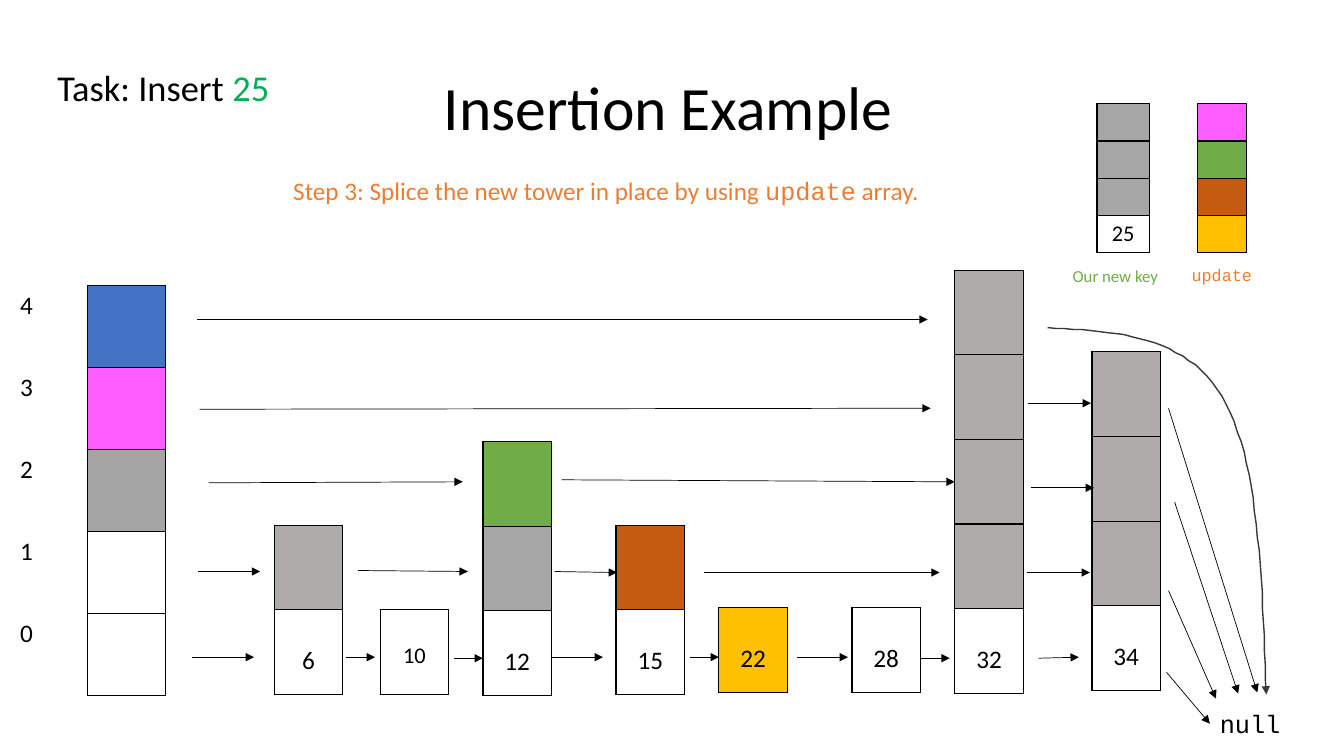
"""Build a slide that shows a key being spliced into a skip list."""
import pptx
import pptx.dml.color
import pptx.enum.shapes
import pptx.enum.text
import pptx.oxml
import pptx.oxml.ns
import pptx.util

RGB = pptx.dml.color.RGBColor
BLACK = RGB(0, 0, 0)
DARK = RGB(0x3B, 0x38, 0x38)
BLUE = RGB(0x44, 0x72, 0xC4)
PINK = RGB(0xFD, 0x5C, 0xFF)
GREEN = RGB(0x70, 0xAD, 0x47)
LEAF = RGB(0x00, 0xB0, 0x50)
RUST = RGB(0xC5, 0x5A, 0x11)
GOLD = RGB(0xFF, 0xC0, 0x00)
ORANGE = RGB(0xED, 0x7D, 0x31)
GRAY = RGB(0xA5, 0xA5, 0xA5)
STEEL = RGB(0xA6, 0xA6, 0xA6)
STONE = RGB(0xAF, 0xAB, 0xAB)

SCALE = 9144
SANS, MONO = "Calibri", "Courier New"
PLAIN = "{2D5ABB26-0587-4C30-8999-92F81FD0307C}"
NS = pptx.oxml.ns.nsdecls("a")
ALIGN = pptx.enum.text.PP_ALIGN
ANCHOR = pptx.enum.text.MSO_ANCHOR


def px(*sizes):
    """Turn px lengths into EMU."""
    return [pptx.util.Emu(size * SCALE) for size in sizes]


def write(para, text, size, color=BLACK, font=SANS):
    """Add one formatted run."""
    run = para.add_run()
    run.text = text
    run.font.size = pptx.util.Pt(size)
    run.font.name = font
    run.font.color.rgb = color


def label(slide, box, *runs):
    """Add a text box with one paragraph of runs."""
    frame = slide.shapes.add_textbox(*px(*box)).text_frame
    frame.word_wrap = True
    for run in runs:
        write(frame.paragraphs[0], *run)


def style(line, color, width):
    """Give a line its colour, width and arrowhead."""
    line.color.rgb = color
    line.width = pptx.util.Pt(width)
    line._get_or_add_ln().append(
        pptx.oxml.parse_xml(f'<a:tailEnd {NS} type="triangle"/>'))


def arrow(slide, box, ends, width=0.5):
    """Draw an arrow between two points of a box."""
    x, y = box[:2]
    x1, y1, x2, y2 = ends
    kind = pptx.enum.shapes.MSO_CONNECTOR.STRAIGHT
    link = slide.shapes.add_connector(
        kind, *px(x + x1, y + y1, x + x2, y + y2))
    style(link.line, BLACK, width)
    link._element.spPr.append(pptx.oxml.parse_xml(f"<a:effectLst {NS}/>"))


def frame(cell):
    """Put a thin black border around a cell."""
    for side in ("lnL", "lnR", "lnT", "lnB"):
        cell._tc.get_or_add_tcPr().append(pptx.oxml.parse_xml(
            f'<a:{side} {NS} w="12700"><a:solidFill>'
            f'<a:srgbClr val="{BLACK}"/></a:solidFill></a:{side}>'))


def paint(cell, color):
    """Fill a cell, or leave it clear."""
    if color is None:
        cell.fill.background()
    else:
        cell.fill.solid()
        cell.fill.fore_color.rgb = color


def grid(slide, box, fills, cols=1):
    """Add a table whose last column holds the framed, filled cells."""
    table = slide.shapes.add_table(len(fills), cols, *px(*box)).table
    table._tbl.tblPr.find(pptx.oxml.ns.qn("a:tableStyleId")).text = PLAIN
    table.first_row = table.horz_banding = False
    for row, fill in enumerate(fills):
        for col in range(cols):
            cell = table.cell(row, col)
            cell.margin_top = cell.margin_bottom = px(0)[0]
            if col == cols - 1:
                frame(cell)
                paint(cell, fill)
            else:
                paint(cell, None)
    return table


def number(table, text, size, drop=0, anchor=ANCHOR.MIDDLE):
    """Write a key in the lowest cell of a tower."""
    cell = table.cell(len(table.rows) - 1, 0)
    cell.vertical_anchor = anchor
    cell.margin_bottom = px(drop)[0]
    para = cell.text_frame.paragraphs[0]
    para.alignment = ALIGN.CENTER
    write(para, text, size)


def heading(slide, box):
    """Place the title, the task and the step."""
    x, y, w, h = box
    title = slide.shapes.title
    title.left, title.top, title.width, title.height = px(x + 41, y, w - 41, h)
    title.text_frame.vertical_anchor = ANCHOR.MIDDLE
    para = title.text_frame.paragraphs[0]
    para.alignment = ALIGN.CENTER
    para.line_spacing = 0.9
    write(para, "Insertion Example", 44)
    label(slide, (x, y + 23, 254, 54),
          ("Task: Insert ", 26), ("25", 26, LEAF))
    label(slide, (x + 234, y + 132, 662, 40),
          ("Step 3: Splice the new tower in place by using ", 18, ORANGE),
          ("update", 18, ORANGE, MONO), (" array.", 18, ORANGE))


def levels(slide, box):
    """Place the head tower with its level numbers."""
    table = grid(slide, box, [BLUE, PINK, GRAY, None, None], 2)
    for row in range(5):
        cell = table.cell(row, 0)
        cell.margin_top = px(5)[0]
        write(cell.text_frame.paragraphs[0], str(4 - row), 18)


def towers(slide, box):
    """Place the keyed towers, each standing on its base."""
    x, y = box[:2]
    side = 84
    for key, left, base, fills in (
            ("6", 82, 421, [STONE, None]),
            ("10", 187, 421, [None]),
            ("12", 289, 422, [GREEN, STEEL, None]),
            ("15", 421, 421, [RUST, None]),
            ("22", 523, 419, [GOLD]),
            ("28", 655, 419, [None]),
            ("32", 757, 420, [STONE] * 4 + [None]),
            ("34", 893, 417, [STONE] * 3 + [None])):
        tall = side * len(fills)
        table = grid(slide, (x + left, y + base - tall, 68, tall), fills)
        size, drop = (16, 25) if key == "10" else (18, 18)
        number(table, key, size, drop, ANCHOR.BOTTOM)


def links(slide, box):
    """Draw the forward arrows, from level 0 up to level 4."""
    for ends in (
            (0, 384, 62, 384), (153, 384, 182, 384), (260, 385, 289, 385),
            (357, 384, 408, 384), (723, 385, 752, 385), (840, 385, 880, 384),
            (6, 299, 68, 299), (165, 298, 274, 299), (360, 299, 422, 300),
            (829, 300, 891, 300),
            (17, 211, 269, 210), (367, 208, 757, 210), (833, 216, 895, 216),
            (8, 138, 733, 137), (830, 132, 892, 132),
            (5, 49, 730, 49)):
        arrow(slide, box, ends)
    for ends in ((494, 384, 523, 384), (600, 384, 651, 384),
                 (508, 300, 742, 300)):
        arrow(slide, box, ends, 0.75)


def bend(knots, steps=24):
    """Return points along a cubic curve."""
    points = []
    for step in range(1, steps + 1):
        t = step / steps
        parts = ((1 - t) ** 3, 3 * t * (1 - t) ** 2,
                 3 * t * t * (1 - t), t ** 3)
        points.append(tuple(sum(p * knot[axis] for p, knot in zip(parts, knots))
                            for axis in (0, 1)))
    return points


def ending(slide, box):
    """Draw the arrows that run into null."""
    x, y = box[:2]
    label(slide, (x + 161, y + 373, 83, 40), ("null", 18, BLACK, MONO))
    knots = [(x + a, y + b) for a, b in (
        (0, 0), (69, 4), (137, 8), (173, 68), (209, 129), (213, 246),
        (217, 364))]
    path = slide.shapes.build_freeform(*knots[0], scale=SCALE)
    path.add_line_segments(bend(knots[:4]) + bend(knots[3:]), close=False)
    curve = path.convert_to_shape()
    curve.shadow.inherit = False
    curve.fill.background()
    style(curve.line, DARK, 1)
    for ends in ((120, 261, 167, 368), (118, 342, 161, 393),
                 (126, 173, 189, 363), (120, 80, 208, 362)):
        arrow(slide, box, ends)


def legend(slide, box):
    """Place the new key beside the update array."""
    x, y = box[:2]
    table = grid(slide, (x + 34, y, 52, 148), [STEEL] * 3 + [None])
    number(table, "25", 16)
    grid(slide, (x + 134, y, 48, 148), [PINK, GREEN, RUST, GOLD])
    label(slide, (x, y + 156, 110, 30), ("Our new key", 12, GREEN))
    label(slide, (x + 118, y + 155, 110, 30), ("update", 12, ORANGE, MONO))


def main():
    """Build and save the slide."""
    deck = pptx.Presentation()
    deck.slide_width, deck.slide_height = px(1333, 750)
    slide = deck.slides.add_slide(deck.slide_layouts[5])
    heading(slide, (47, 37, 1191, 145))
    levels(slide, (10, 283, 154, 407))
    towers(slide, (190, 268, 961, 422))
    links(slide, (190, 268, 961, 422))
    ending(slide, (1039, 325, 244, 413))
    legend(slide, (1054, 103, 228, 186))
    deck.save("out.pptx")


if __name__ == "__main__":
    main()
